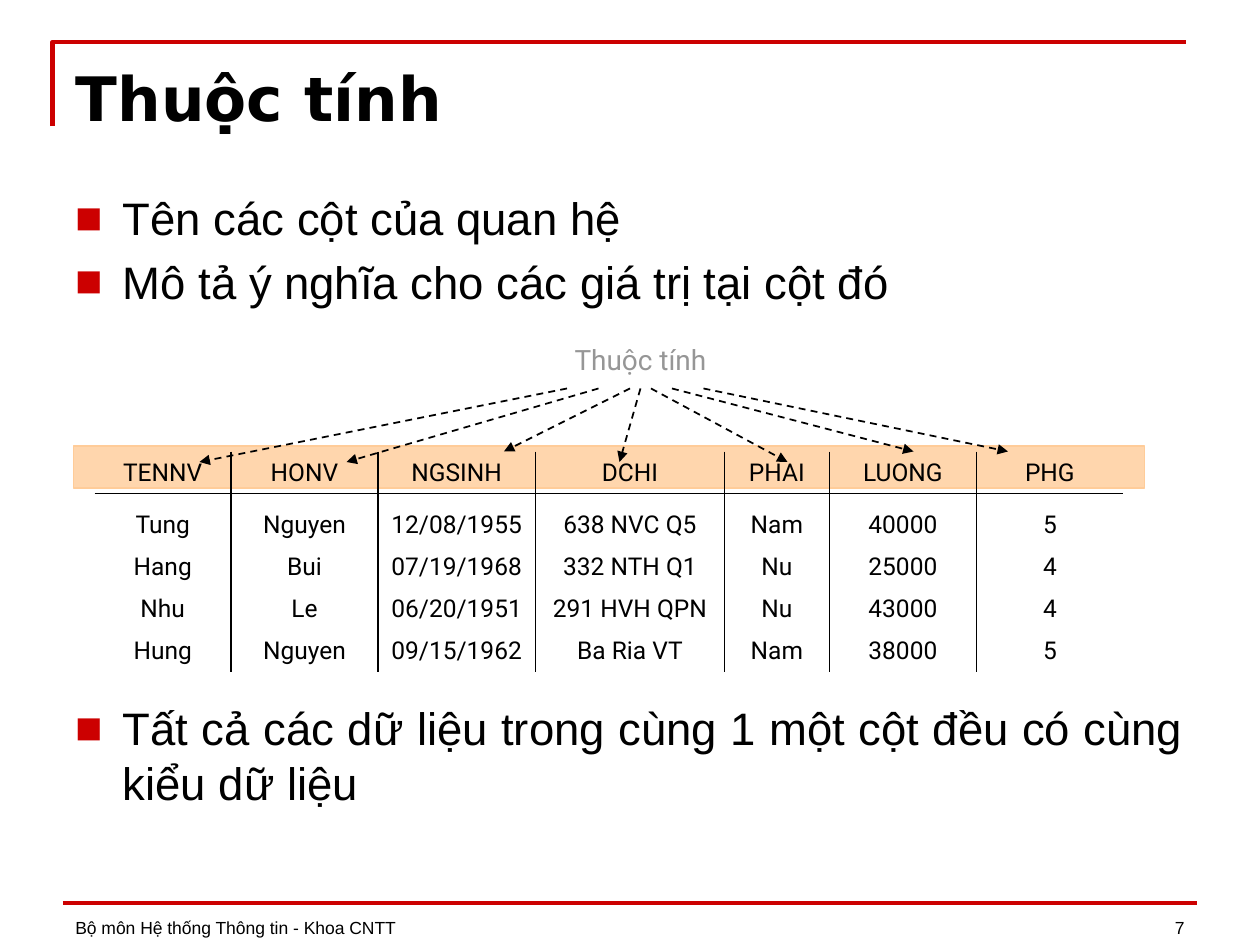
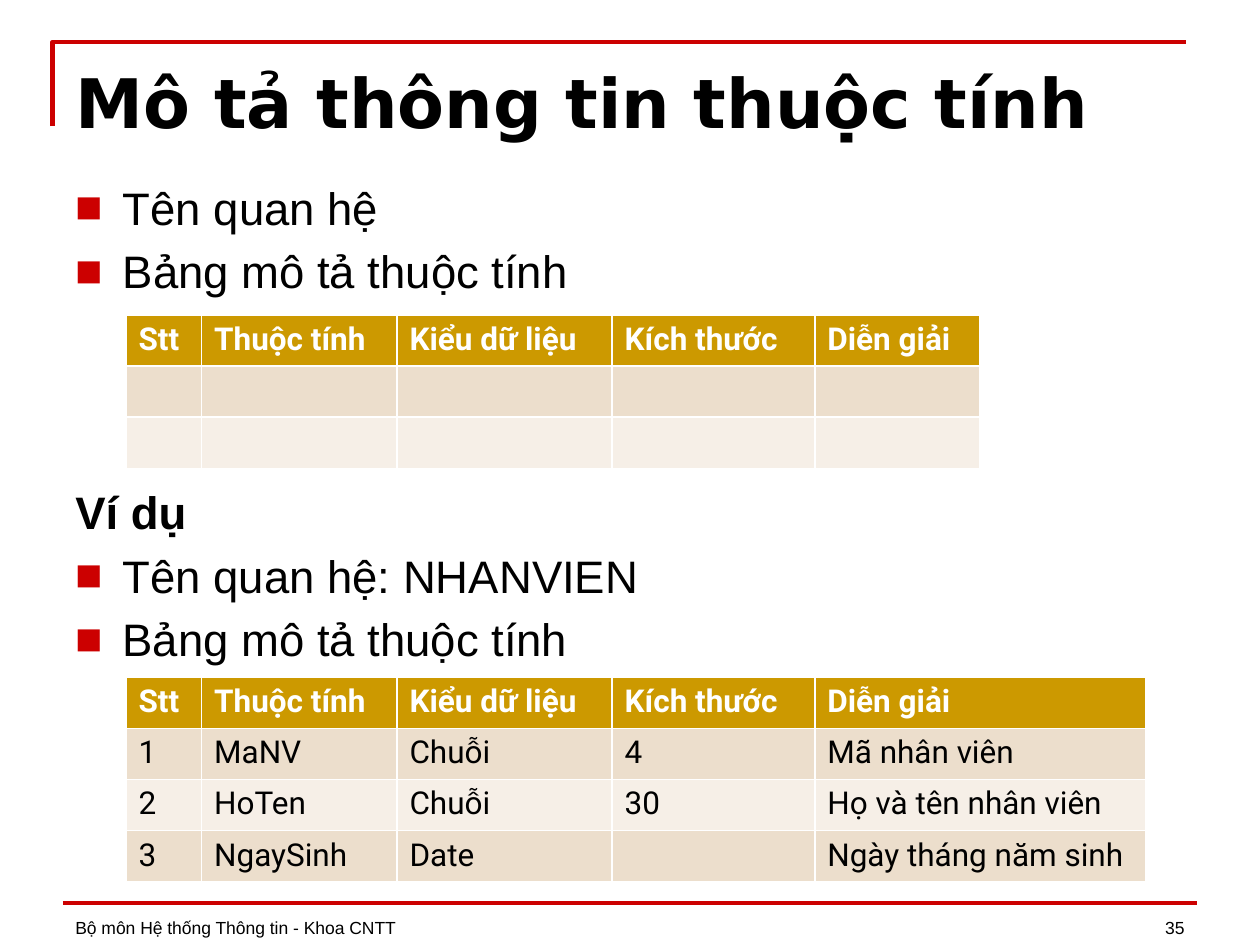
from lxml.etree import SubElement, fromstring
from pptx import Presentation
from pptx.dml.color import RGBColor
from pptx.enum.dml import MSO_LINE
from pptx.enum.shapes import MSO_CONNECTOR, MSO_SHAPE
from pptx.enum.text import MSO_ANCHOR, MSO_AUTO_SIZE, PP_ALIGN
from pptx.oxml.ns import nsdecls, qn
from pptx.util import Cm, Pt

RED, BLACK, WHITE, GREY = "CC0000", "000000", "FFFFFF", "969696"
PEACH, GOLD, BANDS = "FFCC99", "CC9900", ("ECDECC", "F6EFE7")
SANS, HEAD, DATA = "Arial", "DejaVu Sans", "Roboto"
PLAIN = "{2D5ABB26-0587-4C30-8999-92F81FD0307C}"
FOOT = "Bộ môn Hệ thống Thông tin - Khoa CNTT"
GAP = 5.2

INTRO = [
    ("Tên các cột của quan hệ", True, 0),
    ("Mô tả ý nghĩa cho các giá trị tại cột đó", True, GAP),
    ("Tất cả các dữ liệu trong cùng 1 một cột đều có cùng kiểu dữ liệu", True, 224),
]
STAFF = [
    ("TENNV", "HONV", "NGSINH", "DCHI", "PHAI", "LUONG", "PHG"),
    ("Tung", "Nguyen", "12/08/1955", "638 NVC Q5", "Nam", "40000", "5"),
    ("Hang", "Bui", "07/19/1968", "332 NTH Q1", "Nu", "25000", "4"),
    ("Nhu", "Le", "06/20/1951", "291 HVH QPN", "Nu", "43000", "4"),
    ("Hung", "Nguyen", "09/15/1962", "Ba Ria VT", "Nam", "38000", "5"),
]
STAFF_COLS = (13, 14, 15, 18, 10, 14, 14)
STAFF_ROWS = (4, 5, 4, 4, 4)
ARROWS = [(54, 19, 44), (57, 33, 44), (60, 48, 43), (61, 59, 44),
          (62, 75, 44), (64, 87, 43), (67, 96, 43)]

FORM = [
    ("Tên quan hệ", True, 0),
    ("Bảng mô tả thuộc tính", True, GAP),
]
SAMPLE = [
    ("Ví dụ", False, 0),
    ("Tên quan hệ: NHANVIEN", True, GAP),
    ("Bảng mô tả thuộc tính", True, GAP),
]
FIELDS = ("Stt", "Thuộc tính", "Kiểu dữ liệu", "Kích thước", "Diễn giải")
FIELD_COLS = (7.2, 18.6, 20.5, 19.3)
BLANK = [("",) * 5] * 2
FILLED = [
    ("1", "MaNV", "Chuỗi", "4", "Mã nhân viên"),
    ("2", "HoTen", "Chuỗi", "30", "Họ và tên nhân viên"),
    ("3", "NgaySinh", "Date", "", "Ngày tháng năm sinh"),
]


def hue(code):
    """Turn a hex string into a colour."""
    return RGBColor.from_string(code)


def grid(n):
    """Turn grid steps, 120 to the slide width, into a length."""
    return Cm(n * 25.4 / 120)


def say(par, text, size, face=SANS, color=BLACK, bold=False):
    """Add one styled run to a paragraph."""
    run = par.add_run()
    run.text = text
    font = run.font
    font.size, font.name, font.bold = Pt(size), face, bold
    font.color.rgb = hue(color)


def place(shape, box):
    """Move a shape to a box given in grid steps."""
    shape.left, shape.top, shape.width, shape.height = map(grid, box)


def setup(frame, anchor=MSO_ANCHOR.TOP):
    """Fix wrapping, fitting and anchor of a text frame."""
    frame.word_wrap = True
    frame.auto_size = MSO_AUTO_SIZE.NONE
    frame.vertical_anchor = anchor


def label(slide, box, text, size, align, anchor=MSO_ANCHOR.TOP, **look):
    """Add a one-line text box."""
    frame = slide.shapes.add_textbox(*map(grid, box)).text_frame
    setup(frame, anchor)
    par = frame.paragraphs[0]
    par.alignment = align
    say(par, text, size, **look)


def mark(par, bullet):
    """Give a paragraph a red square bullet, or none."""
    props = par._p.get_or_add_pPr()
    if not bullet:
        props.set("marL", "0")
        props.set("indent", "0")
        SubElement(props, qn("a:buNone"))
        return
    props.set("marL", str(Cm(0.95)))
    props.set("indent", str(-Cm(0.95)))
    tint = SubElement(props, qn("a:buClr"))
    SubElement(tint, qn("a:srgbClr")).set("val", RED)
    SubElement(props, qn("a:buFont")).set("typeface", SANS)
    SubElement(props, qn("a:buChar")).set("char", "■")


def fill_list(frame, items):
    """Write list items, with plain items in bold."""
    setup(frame)
    for i, (text, bullet, gap) in enumerate(items):
        par = frame.add_paragraph() if i else frame.paragraphs[0]
        mark(par, bullet)
        par.alignment = PP_ALIGN.JUSTIFY
        par.space_before = Pt(gap)
        say(par, text, 26, bold=not bullet)


def link(slide, start, end, color, width):
    """Draw a straight line without shadow."""
    line = slide.shapes.add_connector(
        MSO_CONNECTOR.STRAIGHT, *map(grid, start + end))
    line.line.color.rgb = hue(color)
    line.line.width = Pt(width)
    SubElement(line._element.spPr, qn("a:effectLst"))
    return line


def start(deck, title, size, high, number):
    """Add a slide with its frame, title and footer."""
    slide = deck.slides.add_slide(deck.slide_layouts[1])
    pen = slide.shapes.build_freeform(grid(5), grid(12), scale=1.0)
    pen.add_line_segments(
        [(grid(5), grid(4)), (grid(113), grid(4))], close=False)
    edge = pen.convert_to_shape()
    edge.shadow.inherit = False
    edge.fill.background()
    edge.line.color.rgb = hue(RED)
    edge.line.width = Pt(2.5)
    link(slide, (6, 86), (114, 86), RED, 2)
    label(slide, (6, 83.9, 73, 6), FOOT, 10, PP_ALIGN.LEFT, MSO_ANCHOR.BOTTOM)
    label(slide, (86, 83.9, 28, 6), number, 10, PP_ALIGN.RIGHT,
          MSO_ANCHOR.BOTTOM)
    head = slide.shapes.title
    place(head, (6, 5.1, 108, high))
    setup(head.text_frame)
    par = head.text_frame.paragraphs[0]
    par.alignment = PP_ALIGN.LEFT
    say(par, title, size, HEAD, bold=True)
    return slide


def make_table(slide, left, top, cols, rows):
    """Add an empty table with the given column and row sizes."""
    box = (left, top, sum(cols), sum(rows))
    table = slide.shapes.add_table(
        len(rows), len(cols), *map(grid, box)).table
    for col, wide in zip(table.columns, cols):
        col.width = grid(wide)
    for row, high in zip(table.rows, rows):
        row.height = grid(high)
    return table


def rule(cell, side):
    """Draw a thin black border on one side of a cell."""
    cell._tc.get_or_add_tcPr().append(fromstring(
        f'<a:{side} {nsdecls("a")} w="{Pt(1)}"><a:solidFill>'
        f'<a:srgbClr val="{BLACK}"/></a:solidFill></a:{side}>'))


def staff_table(slide):
    """Add the relation with ruled columns."""
    table = make_table(slide, 9, 43, STAFF_COLS, STAFF_ROWS)
    table.first_row = table.horz_banding = False
    table._tbl.tblPr.find(qn("a:tableStyleId")).text = PLAIN
    for r, row in enumerate(STAFF):
        for c, text in enumerate(row):
            cell = table.cell(r, c)
            if c < len(row) - 1:
                rule(cell, "lnR")
            if r == 0:
                rule(cell, "lnB")
            cell.fill.background()
            cell.margin_left = cell.margin_right = 0
            cell.margin_top = cell.margin_bottom = Cm(0.12)
            cell.vertical_anchor = MSO_ANCHOR.BOTTOM
            par = cell.text_frame.paragraphs[0]
            par.alignment = PP_ALIGN.CENTER
            say(par, text, 14, DATA)


def field_table(slide, top, last, body):
    """Add a table that describes attributes."""
    rows = [FIELDS] + body
    table = make_table(slide, 12, top, FIELD_COLS + (last,),
                       [4.87] * len(rows))
    for r, row in enumerate(rows):
        for c, text in enumerate(row):
            cell = table.cell(r, c)
            cell.fill.solid()
            cell.fill.fore_color.rgb = hue(BANDS[(r - 1) % 2] if r else GOLD)
            if text:
                say(cell.text_frame.paragraphs[0], text, 18, DATA,
                    BLACK if r else WHITE, r == 0)


def show_attributes(deck):
    """Build the slide on attributes."""
    slide = start(deck, "Thuộc tính", 35, 8.2, "7")
    band = slide.shapes.add_shape(
        MSO_SHAPE.RECTANGLE, *map(grid, (7, 42.5, 102, 4)))
    band.shadow.inherit = False
    band.fill.solid()
    band.fill.fore_color.rgb = hue(PEACH)
    tint = band._element.spPr.find(qn("a:solidFill"))[0]
    SubElement(tint, qn("a:alpha")).set("val", "80000")
    band.line.color.rgb = hue(PEACH)
    band.line.width = Pt(1)
    body = slide.placeholders[1]
    place(body, (6, 17.5, 108, 63))
    fill_list(body.text_frame, INTRO)
    staff_table(slide)
    label(slide, (48, 32, 26, 4.4), "Thuộc tính", 16, PP_ALIGN.CENTER,
          face=DATA, color=GREY)
    for x, tip, y in ARROWS:
        line = link(slide, (x, 37), (tip, y), BLACK, 1).line
        line.dash_style = MSO_LINE.DASH
        SubElement(line._get_or_add_ln(), qn("a:tailEnd")).set(
            "type", "triangle")


def show_fields(deck):
    """Build the slide on describing attributes."""
    slide = start(deck, "Mô tả thông tin thuộc tính", 39, 10.3, "35")
    body = slide.placeholders[1]
    place(body, (6, 16.5, 108, 10.3))
    fill_list(body.text_frame, FORM)
    field_table(slide, 30, 15.7, BLANK)
    note = slide.shapes.add_textbox(*map(grid, (6, 45.5, 108, 14.5)))
    fill_list(note.text_frame, SAMPLE)
    field_table(slide, 64.5, 31.5, FILLED)


def main():
    """Build and save the deck."""
    deck = Presentation()
    deck.slide_width, deck.slide_height = Cm(25.4), Cm(19.05)
    show_attributes(deck)
    show_fields(deck)
    deck.save("out.pptx")


if __name__ == "__main__":
    main()
